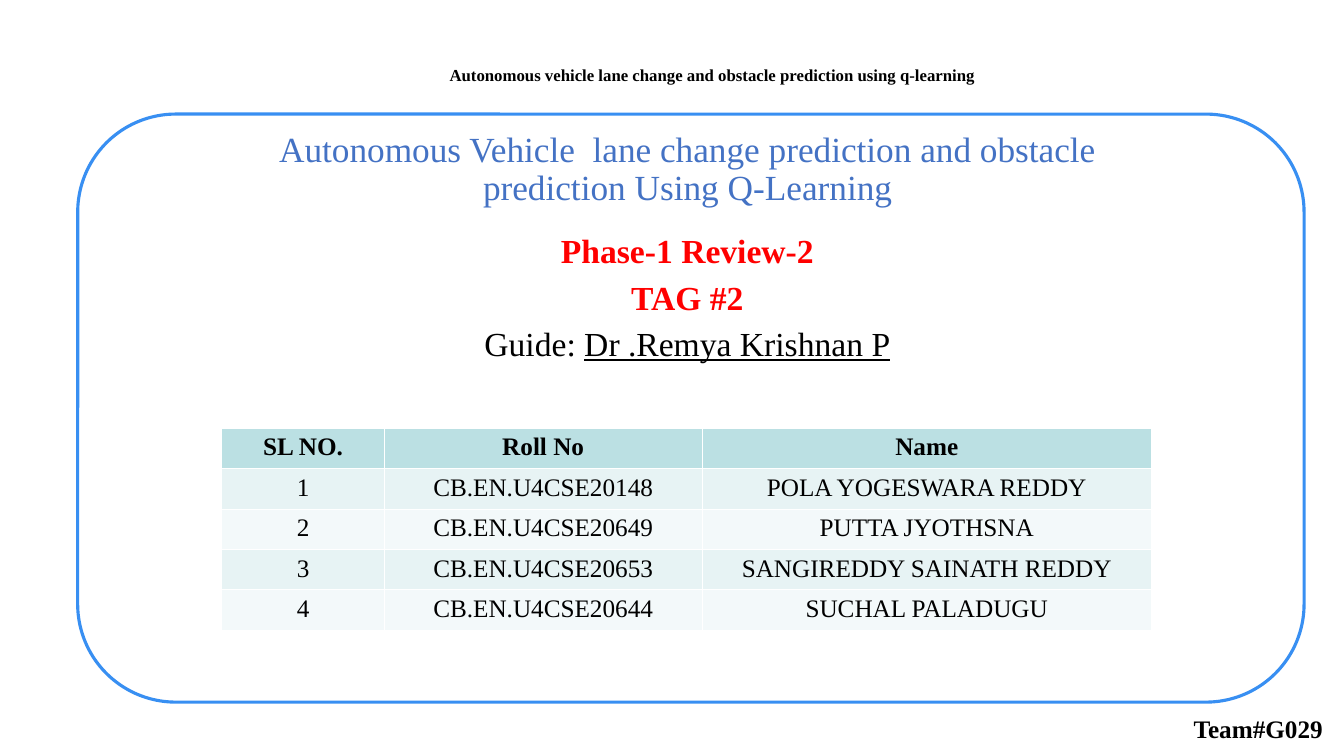
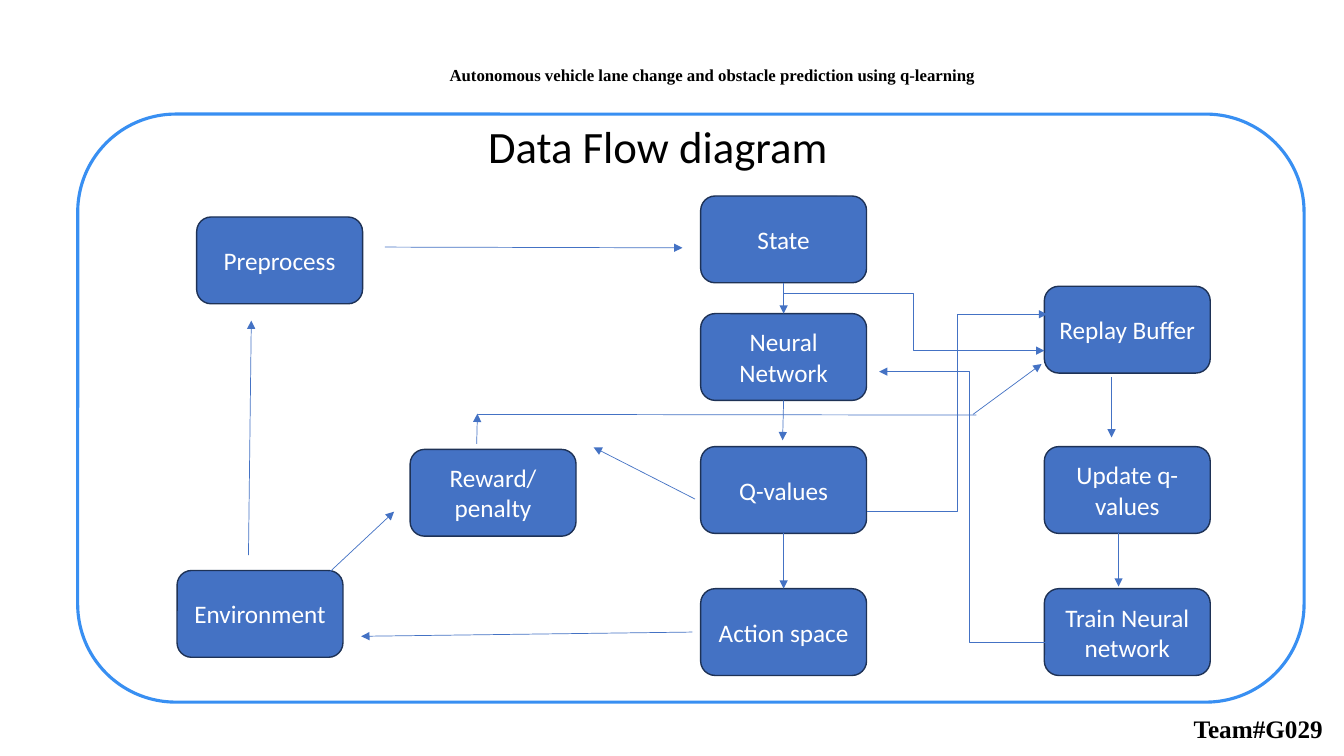
from dataclasses import dataclass

from lxml.etree import SubElement
from pptx import Presentation
from pptx.dml.color import RGBColor
from pptx.enum.shapes import MSO_CONNECTOR, MSO_SHAPE
from pptx.enum.text import MSO_ANCHOR, PP_ALIGN
from pptx.oxml import parse_xml
from pptx.oxml.ns import nsdecls, qn
from pptx.util import Pt

SERIF, SANS = "Times New Roman", "Calibri"


@dataclass(frozen=True)
class Theme:
    black: str = "000000"
    white: str = "FFFFFF"
    red: str = "FF0000"
    blue: str = "4472C4"
    navy: str = "1E3256"
    frame: str = "388FF2"
    head: str = "BBE0E3"
    bands: tuple = ("E7F3F4", "F3F9FA")
    small: float = 12
    body: float = 18
    lead: float = 24
    title: float = 25.2
    large: float = 32


T = Theme()
PAGE = (960, 540)
FRAME = (55.5, 81.5, 876, 420)

HEADER = dict(name=SERIF, size=Pt(T.small), bold=True, color=T.black)
TEAM = {**HEADER, "size": Pt(T.body)}
TITLE = dict(name=SERIF, size=Pt(T.title), color=T.blue)
PHASE = dict(name=SERIF, size=Pt(T.lead), bold=True, color=T.red)
GUIDE = {**PHASE, "bold": False, "color": T.black}
CELL = {**TEAM, "bold": False}
HEADING = dict(name=SANS, size=Pt(T.large), color=T.black)
NODE = dict(name=SANS, size=Pt(T.body), color=T.white)

COLS = (116, 227, 321)
ROW = 28.8
TEAMS = (
    ("SL NO.", "Roll No", "Name"),
    ("1", "CB.EN.U4CSE20148", "POLA YOGESWARA REDDY"),
    ("2", "CB.EN.U4CSE20649", "PUTTA JYOTHSNA"),
    ("3", "CB.EN.U4CSE20653", "SANGIREDDY SAINATH REDDY"),
    ("4", "CB.EN.U4CSE20644", "SUCHAL PALADUGU"),
)

SIZE = (118.5, 62)
MID, RIGHT = 445, 690.5
NODES = {
    "Preprocess": (85, 73.5),
    "Environment": (71, 326),
    "Reward/penalty": (237.5, 239.5),
    "State": (MID, 58.5),
    "Neural Network": (MID, 142.5),
    "Q-values": (MID, 237.5),
    "Action space": (MID, 339),
    "Replay Buffer": (RIGHT, 123),
    "Update q-values": (RIGHT, 237.5),
    "Train Neural network": (RIGHT, 339),
}
# An end is either a point in the frame or a (node, side) pair.
ARROWS = (
    (("State", 2), ("Neural Network", 0)),
    (("Neural Network", 2), (503.5, 233)),
    (("Q-values", 2), ("Action space", 0)),
    ((743.5, 299), (743.5, 337.5)),
    ((441, 275), (368.5, 238)),
    ((439, 370), (202.5, 373)),
    ((179, 328), (226, 284)),
    ((122, 315), (124, 147.5)),
    ((219.5, 95), (432, 95.5)),
    ((285, 235.5), (285.5, 214)),
    ((639.5, 214.5), (688.5, 178.5)),
    ((738.5, 188), (738.5, 231)),
)
BENDS = (
    ((701, 377), (572.5, 184)),
    ((504, 128), (690.5, 169)),
    ((563.5, 283.5), (692.5, 143)),
)
RAIL = ((285.5, 214.5), (642, 215))


def pts(*nums):
    return [Pt(n) for n in nums]


def shift(box, x, y):
    return box[0] + x, box[1] + y


def style(font, form):
    for key, value in form.items():
        if key == "color":
            font.color.rgb = RGBColor.from_string(value)
        else:
            setattr(font, key, value)


def fill(part, color):
    part.fill.solid()
    part.fill.fore_color.rgb = RGBColor.from_string(color)


def ink(line, color, width):
    line.color.rgb = RGBColor.from_string(color)
    line.width = Pt(width)


def write(para, text, form, align=PP_ALIGN.LEFT):
    para.alignment = align
    run = para.add_run()
    run.text = text
    style(run.font, form)
    return run


def label(slide, box, text, form, align=PP_ALIGN.LEFT):
    frame = slide.shapes.add_textbox(*pts(*box)).text_frame
    frame.word_wrap = True
    write(frame.paragraphs[0], text, form, align)
    return frame


def rounded(slide, box):
    shape = slide.shapes.add_shape(MSO_SHAPE.ROUNDED_RECTANGLE, *pts(*box))
    shape.shadow.inherit = False
    return shape


def base(deck):
    """Add a blank slide with the frame, running header and team tag."""
    slide = deck.slides.add_slide(deck.slide_layouts[6])
    border = rounded(slide, FRAME)
    border.fill.background()
    ink(border.line, T.frame, 2.25)
    label(slide, (314, 42.5, 408, 22), HEADER_TEXT, HEADER)
    label(slide, (845.5, 506, 114, 29), "Team#G029", TEAM)
    return slide


HEADER_TEXT = ("Autonomous vehicle lane change and obstacle prediction "
               "using q-learning")


def intro(slide, box):
    center = PP_ALIGN.CENTER
    head = label(slide, (*shift(box, 111, 21), 649.5, 49.5),
                 "Autonomous Vehicle  lane change prediction and obstacle "
                 "prediction Using Q-Learning", TITLE, center)
    head.vertical_anchor = MSO_ANCHOR.BOTTOM
    head.paragraphs[0].line_spacing = 0.9
    body = label(slide, (*shift(box, 75.5, 85), 720, 104.5),
                 "Phase-1 Review-2", PHASE, center)
    for text, form in (("TAG #2", PHASE), ("Guide: ", GUIDE)):
        para = body.add_paragraph()
        para.space_before = Pt(10)
        write(para, text, form, center)
    write(para, "Dr .Remya Krishnan P", {**GUIDE, "underline": True}, center)
    for para in body.paragraphs:
        para.line_spacing = 0.8


def edge(cell):
    """Give a cell thin white borders on all four sides."""
    props = cell._tc.get_or_add_tcPr()
    for spot, side in enumerate(("lnL", "lnR", "lnT", "lnB")):
        props.insert(spot, parse_xml(
            f'<a:{side} {nsdecls("a")} w="{Pt(0.75)}"><a:solidFill>'
            f'<a:srgbClr val="{T.white}"/></a:solidFill></a:{side}>'))


def roster(slide, box):
    area = (*shift(box, 103, 224.5), sum(COLS), ROW * len(TEAMS))
    table = slide.shapes.add_table(len(TEAMS), len(COLS), *pts(*area)).table
    for col, width in zip(table.columns, COLS):
        col.width = Pt(width)
    for r, texts in enumerate(TEAMS):
        table.rows[r].height = Pt(ROW)
        for c, text in enumerate(texts):
            cell = table.cell(r, c)
            fill(cell, T.bands[(r - 1) % 2] if r else T.head)
            edge(cell)
            write(cell.text_frame.paragraphs[0], text,
                  CELL if r else TEAM, PP_ALIGN.CENTER)


def node(slide, box, text):
    shape = rounded(slide, box)
    fill(shape, T.blue)
    ink(shape.line, T.navy, 1)
    frame = shape.text_frame
    frame.word_wrap = True
    frame.vertical_anchor = MSO_ANCHOR.MIDDLE
    write(frame.paragraphs[0], text, NODE, PP_ALIGN.CENTER)
    return shape


def link(slide, box, ends, nodes, kind=MSO_CONNECTOR.STRAIGHT, arrow=True):
    """Draw a connector, joining each end that names a node and side."""
    spots = [(0, 0) if end[0] in nodes else shift(box, *end) for end in ends]
    line = slide.shapes.add_connector(kind, *pts(*spots[0], *spots[1]))
    for end, join in zip(ends, (line.begin_connect, line.end_connect)):
        if end[0] in nodes:
            join(nodes[end[0]], end[1])
    ink(line.line, T.blue, 0.5)
    if arrow:
        SubElement(line.line._get_or_add_ln(), qn("a:tailEnd"),
                   type="triangle")
    SubElement(line._element.spPr, qn("a:effectLst"))


def flow(slide, box):
    label(slide, (*shift(box, 286, 0), 594.5, 46),
          "Data Flow diagram", HEADING)
    nodes = {text: node(slide, (*shift(box, *spot), *SIZE), text)
             for text, spot in NODES.items()}
    for ends in ARROWS:
        link(slide, box, ends, nodes)
    for ends in BENDS:
        link(slide, box, ends, nodes, MSO_CONNECTOR.ELBOW)
    link(slide, box, RAIL, nodes, arrow=False)


def main():
    deck = Presentation()
    deck.slide_width, deck.slide_height = pts(*PAGE)
    cover = base(deck)
    intro(cover, FRAME)
    roster(cover, FRAME)
    flow(base(deck), FRAME)
    deck.save("out.pptx")


if __name__ == "__main__":
    main()
